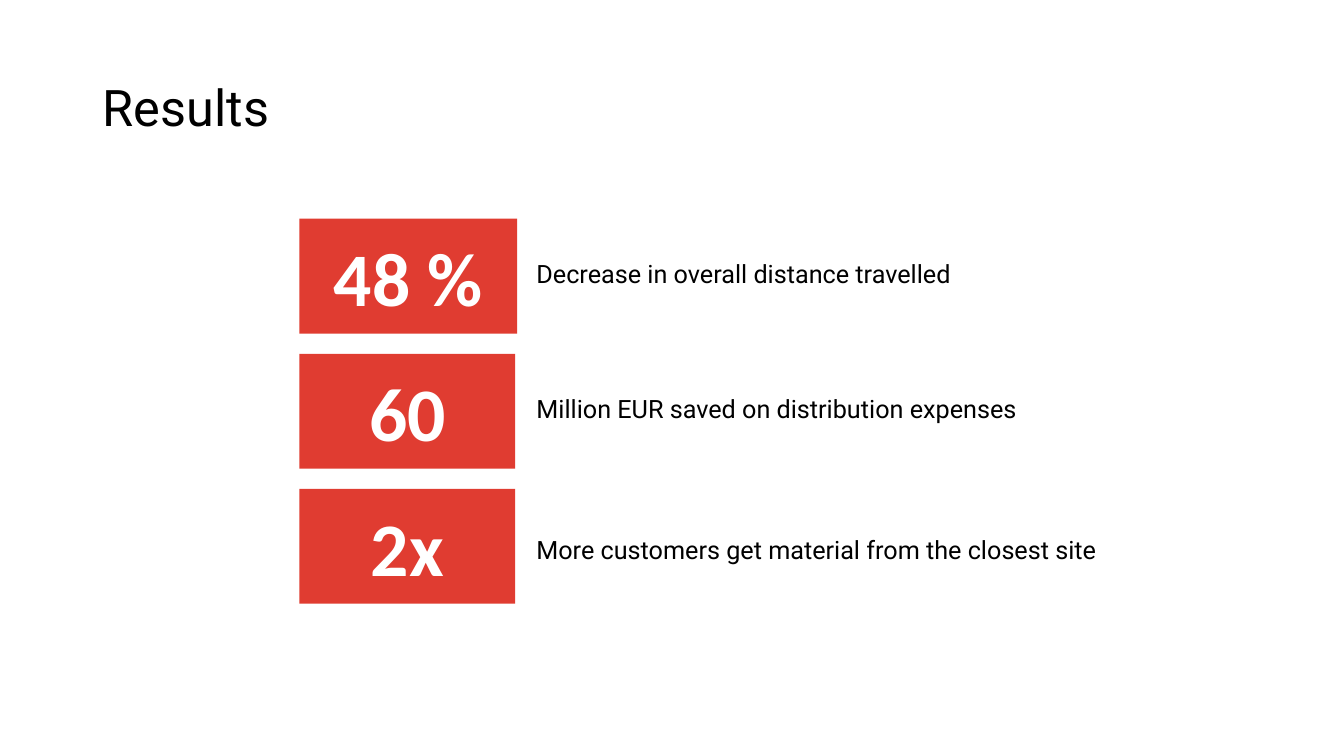
from pptx import Presentation
from pptx.dml.color import RGBColor
from pptx.enum.shapes import MSO_SHAPE
from pptx.enum.text import MSO_ANCHOR, PP_ALIGN
from pptx.util import Inches, Pt


def paint(color):
    """Turn a hex string into a colour."""
    return RGBColor.from_string(color)


def write(frame, text, font, size, color, align, bold=False):
    """Fill a text frame with one styled, vertically centred paragraph."""
    frame.text = text
    frame.word_wrap = True
    frame.vertical_anchor = MSO_ANCHOR.MIDDLE
    para = frame.paragraphs[0]
    para.alignment = align
    para.font.name = font
    para.font.size = Pt(size)
    para.font.bold = bold
    para.font.color.rgb = paint(color)
    return para


deck = Presentation()
deck.slide_width = Inches(13.33)
deck.slide_height = Inches(7.5)
slide = deck.slides.add_slide(deck.slide_layouts[5])

title = slide.shapes.title
title.left, title.top = Inches(0.92), Inches(0.4)
title.width, title.height = Inches(11.5), Inches(1.45)
head = write(title.text_frame, "Results", "Roboto", 36, "000000", PP_ALIGN.LEFT)
head.line_spacing = 0.75
head.space_before = Pt(14.2)

# Figure, box width, label, label offset from the box top
results = [
    ("48 %", 2.16, "Decrease in overall distance travelled", 0.37),
    ("60", 2.14, "Million EUR saved on distribution expenses", 0.37),
    ("2x", 2.14, "More customers get material from the closest site", 0.42),
]
first, pitch = 2.17, 1.34

for row, (figure, width, label, drop) in enumerate(results):
    top = first + row * pitch
    box = slide.shapes.add_shape(
        MSO_SHAPE.RECTANGLE, Inches(2.97), Inches(top), Inches(width), Inches(1.14))
    box.shadow.inherit = False
    box.fill.solid()
    box.fill.fore_color.rgb = paint("E03C31")
    box.line.fill.background()
    write(box.text_frame, figure, "Calibri", 54, "FFFFFF", PP_ALIGN.CENTER, True)

    note = slide.shapes.add_textbox(
        Inches(5.32), Inches(top + drop), Inches(5.99), Inches(0.39))
    frame = note.text_frame
    frame.margin_left = frame.margin_right = 0
    frame.margin_top = frame.margin_bottom = 0
    write(frame, label, "Roboto", 18, "000000", PP_ALIGN.LEFT).line_spacing = 0.9

deck.save("out.pptx")
